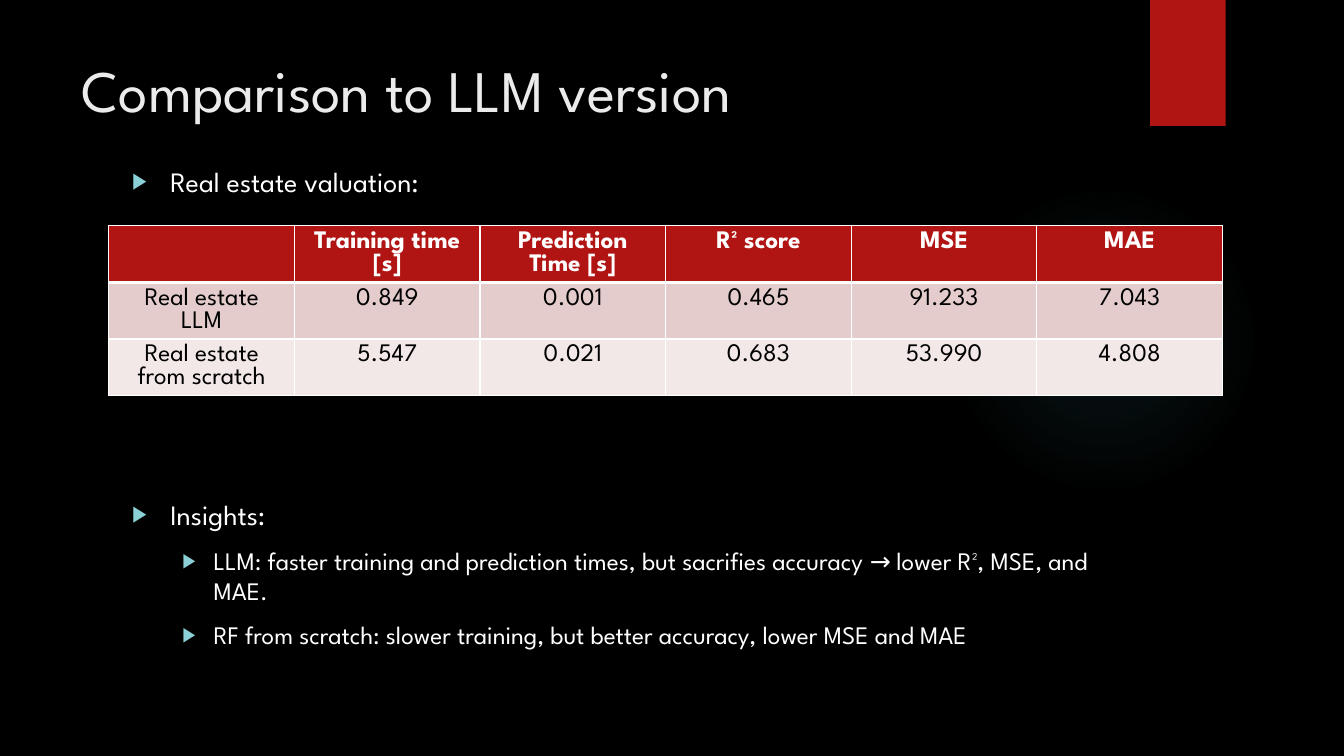
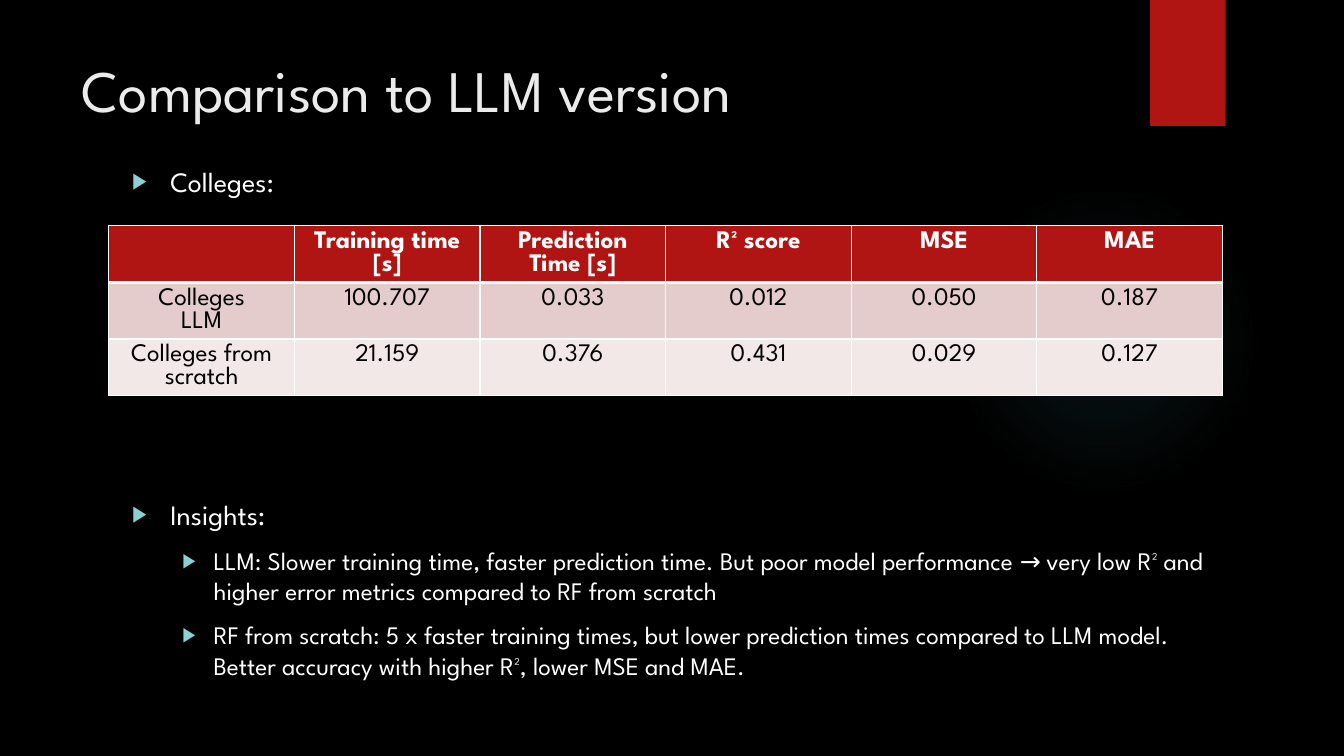
import pptx
import pptx.dml.color
import pptx.enum.shapes
import pptx.enum.text
import pptx.oxml
import pptx.oxml.ns
import pptx.util

Inches = pptx.util.Inches
Pt = pptx.util.Pt
RGBColor = pptx.dml.color.RGBColor
SHAPE = pptx.enum.shapes.MSO_SHAPE
ALIGN = pptx.enum.text.PP_ALIGN
ANCHOR = pptx.enum.text.MSO_ANCHOR

BLACK = RGBColor(0x00, 0x00, 0x00)
WHITE = RGBColor(0xFF, 0xFF, 0xFF)
RED = RGBColor(0xB0, 0x15, 0x13)
TITLE_GRAY = RGBColor(0xEB, 0xEB, 0xEB)
BULLET_TEAL = RGBColor(0x8A, 0xD0, 0xD6)
GLOW_TEAL = RGBColor(0x50, 0xB9, 0xC1)
ROSE = RGBColor(0xE4, 0xCC, 0xCC)
PALE_ROSE = RGBColor(0xF2, 0xE8, 0xE7)

FONT = "League Spartan"
TITLE = "Comparison to LLM version"
HEADER = ["", "Training time [s]", "Prediction Time [s]", "R² score", "MSE", "MAE"]
ROW_FILLS = [RED, ROSE, PALE_ROSE]
GLOW_STOPS = [(0, 7), (36, 6), (69, 0)]
LEVELS = [(20, 0.38, 0.38), (18, 0.81, 0.31)]
TABLE_GAP = 214

COMPARISONS = [
    {
        "topic": "Real estate valuation:",
        "body_width": 9.78,
        "rows": [
            ["Real estate\nLLM", "0.849", "0.001", "0.465", "91.233", "7.043"],
            ["Real estate from scratch", "5.547", "0.021", "0.683", "53.990", "4.808"],
        ],
        "insights": [
            "LLM: faster training and prediction times, but sacrifies accuracy → "
            "lower R², MSE, and MAE.",
            "RF from scratch: slower training, but better accuracy, lower MSE and MAE",
        ],
    },
    {
        "topic": "Colleges:",
        "body_width": 11.05,
        "rows": [
            ["Colleges\nLLM", "100.707", "0.033", "0.012", "0.050", "0.187"],
            ["Colleges from scratch", "21.159", "0.376", "0.431", "0.029", "0.127"],
        ],
        "insights": [
            "LLM: Slower training time, faster prediction time. But poor model "
            "performance → very low R² and higher error metrics compared to RF from scratch",
            "RF from scratch: 5 x faster training times, but lower prediction times "
            "compared to LLM model. Better accuracy with higher R², lower MSE and MAE.",
        ],
    },
]


def drawing_xml(markup):
    namespace = pptx.oxml.ns.nsdecls("a")
    return pptx.oxml.parse_xml(f"<a:wrapper {namespace}>{markup}</a:wrapper>")[0]


def place(shape, left, top, width, height):
    shape.left, shape.top = Inches(left), Inches(top)
    shape.width, shape.height = Inches(width), Inches(height)


def add_span(para, text, size, color, bold=False):
    span = para.add_run()
    span.text = text
    span.font.name = FONT
    span.font.size = Pt(size)
    span.font.color.rgb = color
    span.font.bold = bold


def add_backdrop_shape(page, kind, left, top, width, height):
    shape = page.shapes.add_shape(
        kind, Inches(left), Inches(top), Inches(width), Inches(height)
    )
    shape.shadow.inherit = False
    shape.line.fill.background()
    page.shapes.title.element.addprevious(shape.element)
    return shape


def add_backdrop(page):
    glow = add_backdrop_shape(page, SHAPE.OVAL, 9.41, 1.83, 3.08, 3.08)
    stops = "".join(
        f'<a:gs pos="{position * 1000}"><a:srgbClr val="{GLOW_TEAL}">'
        f'<a:alpha val="{alpha * 1000}"/></a:srgbClr></a:gs>'
        for position, alpha in GLOW_STOPS
    )
    gradient = drawing_xml(
        f'<a:gradFill><a:gsLst>{stops}</a:gsLst><a:path path="circle">'
        '<a:fillToRect l="50000" t="50000" r="50000" b="50000"/></a:path></a:gradFill>'
    )
    glow.element.spPr.find(pptx.oxml.ns.qn("a:prstGeom")).addnext(gradient)
    tab = add_backdrop_shape(page, SHAPE.RECTANGLE, 11.41, 0, 0.75, 1.25)
    tab.fill.solid()
    tab.fill.fore_color.rgb = RED


def set_title(page):
    title = page.shapes.title
    place(title, 0.71, 0.44, 10.29, 0.89)
    frame = title.text_frame
    frame.vertical_anchor = ANCHOR.MIDDLE
    para = frame.paragraphs[0]
    para.alignment = ALIGN.LEFT
    add_span(para, TITLE, 42, TITLE_GRAY)


def add_bullet(para, text, level, space=10):
    size, margin, hanging = LEVELS[level]
    para.level = level
    para.space_before = Pt(space)
    add_span(para, text, size, WHITE)
    properties = para._p.get_or_add_pPr()
    properties.set("marL", str(Inches(margin)))
    properties.set("indent", str(-Inches(hanging)))
    for markup in (
        f'<a:buClr><a:srgbClr val="{BULLET_TEAL}"/></a:buClr>',
        '<a:buSzPct val="80000"/>',
        '<a:buFont typeface="Arial"/>',
        '<a:buChar char="▶"/>',
    ):
        properties.append(drawing_xml(markup))


def set_body(page, topic, insights, width):
    body = page.placeholders[1]
    place(body, 1.21, 1.58, width, 5.25)
    frame = body.text_frame
    frame.auto_size = pptx.enum.text.MSO_AUTO_SIZE.NONE
    frame.vertical_anchor = ANCHOR.TOP
    add_bullet(frame.paragraphs[0], topic, 0)
    add_bullet(frame.add_paragraph(), "Insights:", 0, TABLE_GAP)
    for insight in insights:
        add_bullet(frame.add_paragraph(), insight, 1)


def set_borders(cell, row_index):
    widths = {"L": 1, "R": 1, "T": 3 if row_index == 1 else 1, "B": 3 if row_index == 0 else 1}
    properties = cell._tc.get_or_add_tcPr()
    for index, (side, width) in enumerate(widths.items()):
        border = drawing_xml(
            f'<a:ln{side} w="{Pt(width)}"><a:solidFill>'
            f'<a:srgbClr val="{WHITE}"/></a:solidFill></a:ln{side}>'
        )
        properties.insert(index, border)


def fill_cell(cell, text, row_index):
    cell.fill.solid()
    cell.fill.fore_color.rgb = ROW_FILLS[row_index]
    set_borders(cell, row_index)
    is_header = row_index == 0
    frame = cell.text_frame
    for index, line in enumerate(text.split("\n") if text else []):
        para = frame.add_paragraph() if index else frame.paragraphs[0]
        para.alignment = ALIGN.CENTER
        add_span(para, line, 18, WHITE if is_header else BLACK, is_header)


def add_score_table(page, rows):
    table = page.shapes.add_table(
        len(rows), len(HEADER), Inches(1.08), Inches(2.24), Inches(11.05), Inches(1.68)
    ).table
    for row_index, values in enumerate(rows):
        for column_index, text in enumerate(values):
            fill_cell(table.cell(row_index, column_index), text, row_index)


def add_comparison(deck, comparison):
    page = deck.slides.add_slide(deck.slide_layouts[1])
    add_backdrop(page)
    set_title(page)
    set_body(page, comparison["topic"], comparison["insights"], comparison["body_width"])
    add_score_table(page, [HEADER] + comparison["rows"])


def main():
    deck = pptx.Presentation()
    deck.slide_width, deck.slide_height = Inches(40 / 3), Inches(7.5)
    background = deck.slide_master.background.fill
    background.solid()
    background.fore_color.rgb = BLACK
    for comparison in COMPARISONS:
        add_comparison(deck, comparison)
    deck.save("out.pptx")


if __name__ == "__main__":
    main()
